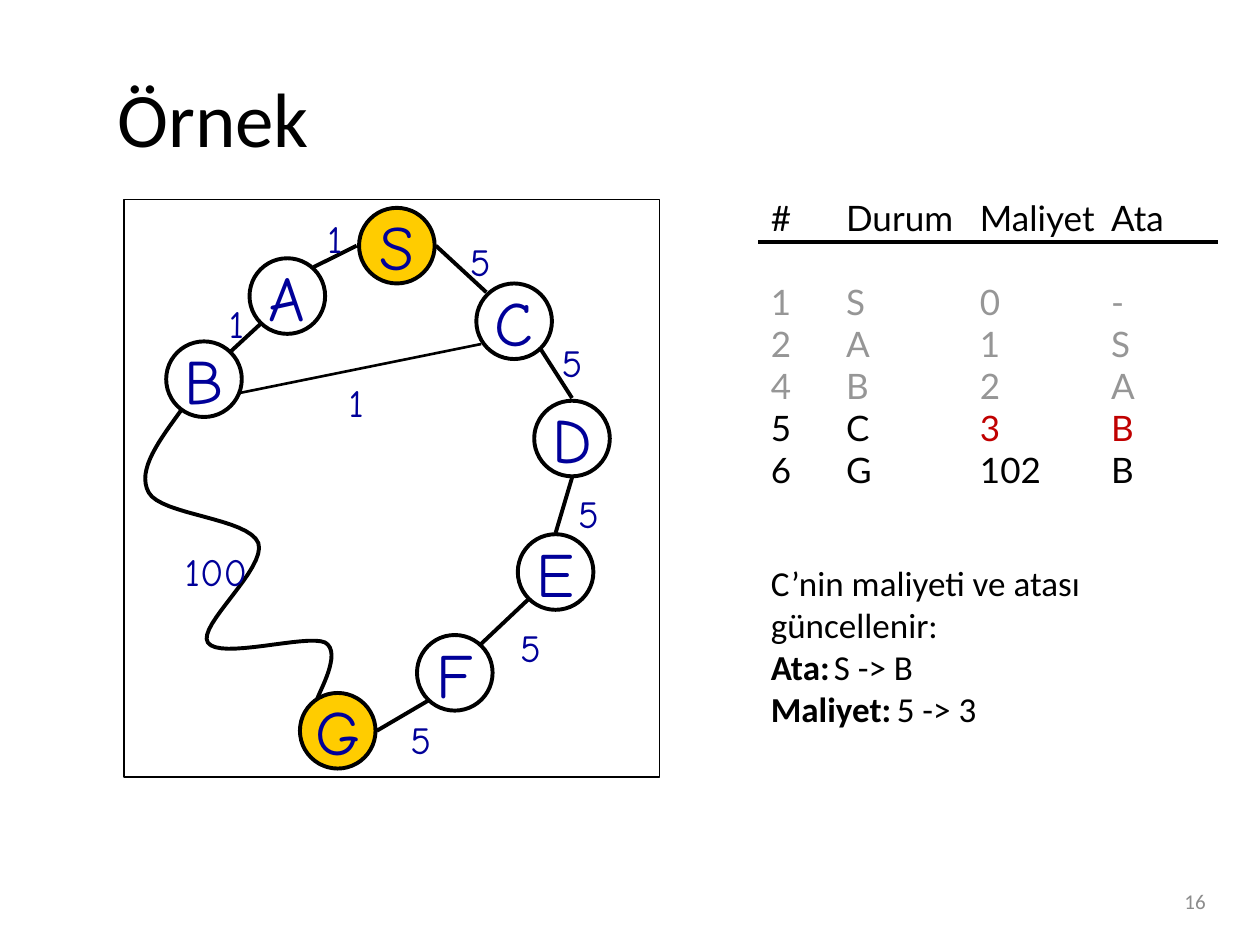
from pptx import Presentation
from pptx.dml.color import RGBColor
from pptx.enum.shapes import MSO_CONNECTOR as Conn, MSO_SHAPE as Shape
from pptx.enum.text import MSO_ANCHOR as Anchor, PP_ALIGN as Align
from pptx.oxml.ns import qn
from pptx.util import Pt
from lxml.etree import SubElement as Sub

BLACK, WHITE, GOLD, NAVY = "000000", "FFFFFF", "FFCC00", "000099"
GREY, RED = "969696", "C00000"
HAND = "Comic Neue"
SIZE = 43.2  # node diameter

# Node: centre x, centre y, fill
nodes = {
    "S": (226.8, 140.4, GOLD), "A": (164.2, 169.2, WHITE),
    "B": (116.6, 216.7, WHITE), "C": (293.8, 183.6, WHITE),
    "D": (326.9, 250.6, WHITE), "E": (317.5, 326.9, WHITE),
    "F": (259.9, 384.5, WHITE), "G": (193, 417.6, GOLD),
}
# Edge: start, end, line width
edges = [
    ((203.8, 140.4), (179.3, 152.6), 2.25),  # S-A
    ((149, 185), (131.8, 200.9), 2.25),      # A-B
    ((136.8, 224.6), (275, 196.6), 1.5),     # B-C
    ((249.1, 140.4), (277.9, 167), 2.25),    # S-C
    ((308.9, 199.4), (326.9, 227.5), 2.25),  # C-D
    ((326.9, 272.9), (317.5, 304.6), 2.25),  # D-E
    ((301.7, 342.7), (275, 367.9), 2.25),    # E-F
    ((244.8, 400.3), (215.3, 417.6), 2.25),  # F-G
]
# Cost: text, left, top, width
costs = [
    ("1", 180, 119.5, 24.5), ("1", 123.8, 167.8, 24.5),
    ("1", 192.2, 213.1, 24.5), ("5", 261.4, 132.5, 28),
    ("5", 313.9, 190.1, 28), ("5", 323.3, 276.5, 28),
    ("5", 290.2, 352.8, 28), ("5", 227.5, 405.4, 28),
    ("100", 98.6, 309.6, 51),
]
# Long way from B to G: start, then cubic curves
start = (104.4, 233.3)
curves = [
    ((91.4, 251.3), (77.8, 268.6), (85, 281.5)),
    ((92.2, 294.5), (141.8, 295.9), (147.6, 310.3)),
    ((152.6, 324.7), (112.3, 357.8), (118.8, 367.2)),
    ((125.3, 377.3), (175, 362.2), (185.8, 367.2)),
    ((195.8, 373), (182.2, 395.3), (180.7, 401)),
]
# Queue rows: runs of (text, colour)
head = "#\tDurum\tMaliyet\tAta"
stops = (43, 119.5, 194.5)
rows = [
    [("1\tS\t0\t-", GREY)],
    [("2\tA\t1\tS", GREY)],
    [("4\tB\t2\tA", GREY)],
    [("5\tC\t", BLACK), ("3\tB", RED)],
    [("6\tG\t102\tB", BLACK)],
]
news = "C’nin maliyeti ve atası güncellenir:"
facts = [("Ata:", "\tS -> B"), ("Maliyet:", "\t5 -> 3")]


def rgb(code):
    return RGBColor.from_string(code)


def style(para, font, size, color=None):
    para.font.name, para.font.size = font, Pt(size)
    if color:
        para.font.color.rgb = rgb(color)


def box(where, x, y, w, h, wrap=True):
    frame = where.add_textbox(Pt(x), Pt(y), Pt(w), Pt(h)).text_frame
    frame.word_wrap = wrap
    return frame


def write(frame, text, font, size, color, align=Align.LEFT):
    para = frame.paragraphs[0]
    para.text, para.alignment = text, align
    style(para, font, size, color)
    return para


def solid(where, kind, x, y, w, h, fill, width):
    form = where.add_shape(kind, Pt(x), Pt(y), Pt(w), Pt(h))
    form.shadow.inherit = False
    form.fill.solid()
    form.fill.fore_color.rgb = rgb(fill)
    form.line.color.rgb, form.line.width = rgb(BLACK), Pt(width)
    return form


def rule(where, a, b, width):
    line = where.add_connector(Conn.STRAIGHT, *map(Pt, a + b))
    line.line.color.rgb, line.line.width = rgb(BLACK), Pt(width)
    Sub(line._element.spPr, qn("a:effectLst"))


def trace(start, curves, steps=16):
    """Points along a chain of cubic curves."""
    p = start
    for q, r, s in curves:
        for i in range(1, steps + 1):
            t = i / steps
            u = 1 - t
            yield tuple(Pt(u**3 * a + 3 * u * u * t * b + 3 * u * t * t * c + t**3 * d)
                        for a, b, c, d in zip(p, q, r, s))
        p = s


deck = Presentation()
deck.slide_width, deck.slide_height = Pt(720), Pt(540)
shapes = deck.slides.add_slide(deck.slide_layouts[6]).shapes

# Title and page number
frame = box(shapes, 60, 21.6, 636, 90)
frame.vertical_anchor = Anchor.MIDDLE
write(frame, "Örnek", "Calibri", 44, BLACK)
frame = box(shapes, 528, 500.5, 168, 28.8)
frame.vertical_anchor = Anchor.MIDDLE
write(frame, "16", "Calibri", 12, "8C8C8C", Align.RIGHT)

# Graph
graph = shapes.add_group_shape().shapes
solid(graph, Shape.RECTANGLE, 70.8, 114, 306, 330, WHITE, 0.75)
pen = graph.build_freeform(Pt(start[0]), Pt(start[1]))
pen.add_line_segments(trace(start, curves), close=False)
way = pen.convert_to_shape()
way.shadow.inherit = False
way.fill.background()
way.line.color.rgb, way.line.width = rgb(BLACK), Pt(2.25)
for a, b, width in edges:
    rule(graph, a, b, width)
for name, (x, y, fill) in nodes.items():
    form = solid(graph, Shape.OVAL, x - SIZE / 2, y - SIZE / 2, SIZE, SIZE, fill, 2.25)
    frame = form.text_frame
    frame.word_wrap, frame.vertical_anchor = False, Anchor.MIDDLE
    write(frame, name, HAND, 36, NAVY, Align.CENTER)
for text, x, y, w in costs:
    write(box(graph, x, y, w, 33.8, False), text, HAND, 22, NAVY)

# Queue
frame = box(shapes, 433.4, 108.7, 260.6, 201)
para = write(frame, head, "Lato", 20, BLACK)
para.space_after = Pt(24)
tabs = Sub(para._p.get_or_add_pPr(), qn("a:tabLst"))
for stop in stops:
    Sub(tabs, qn("a:tab"), pos=str(Pt(stop)), algn="l")
para._p.pPr.insert_element_before(tabs, "a:defRPr")
for row in rows:
    para = frame.add_paragraph()
    style(para, "Lato", 20)
    for text, color in row:
        run = para.add_run()
        run.text = text
        run.font.color.rgb = rgb(color)
rule(shapes, (433.4, 138.2), (696.2, 138.2), 2.25)

# Update note
frame = box(shapes, 433.4, 317.5, 260.6, 104.4)
write(frame, news, "Calibri", 20, BLACK)
for pair in facts:
    para = frame.add_paragraph()
    style(para, "Calibri", 20, BLACK)
    for text, bold in zip(pair, (True, False)):
        run = para.add_run()
        run.text, run.font.bold = text, bold

deck.save("out.pptx")
